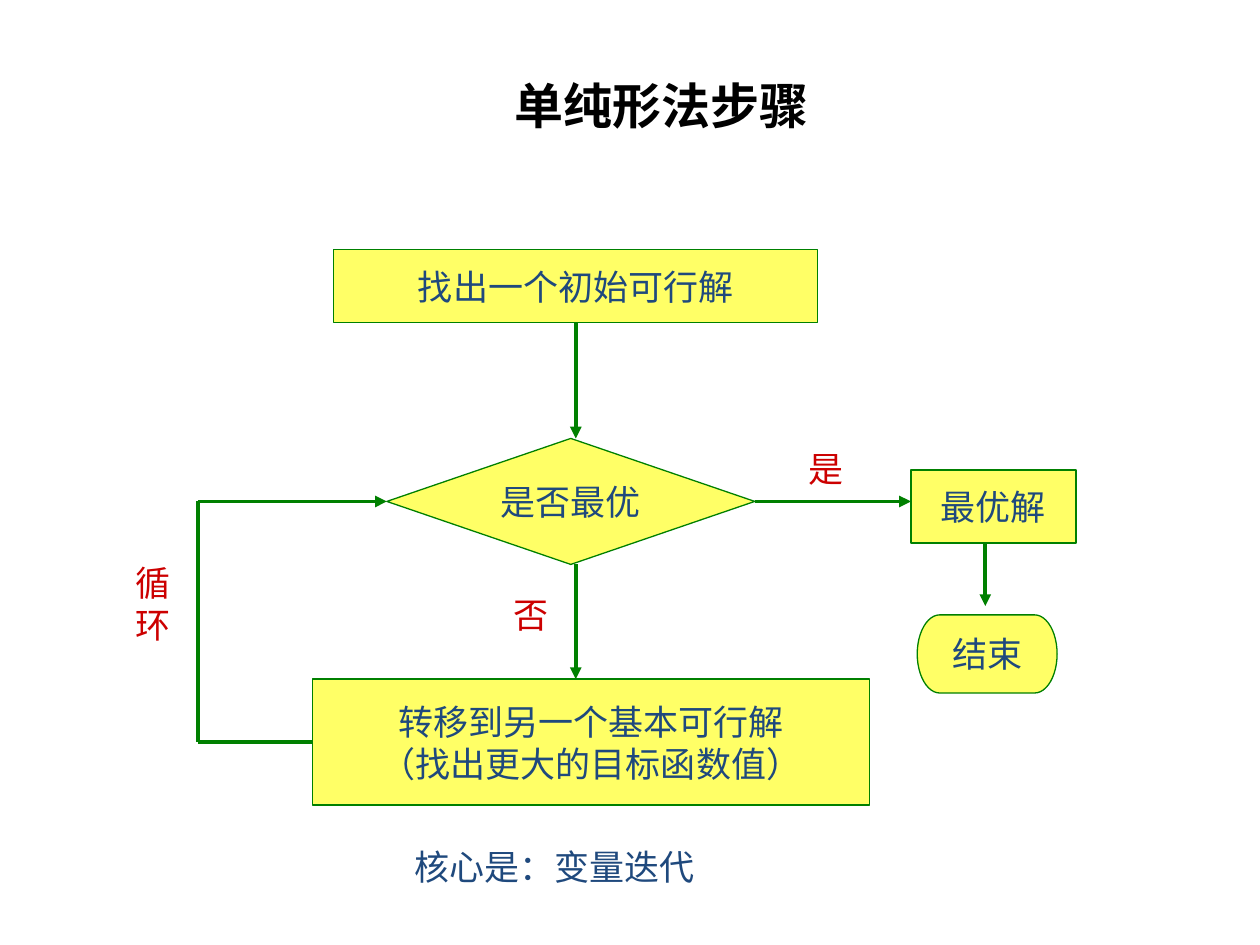
from dataclasses import dataclass
from typing import Optional

from pptx import Presentation
from pptx.dml.color import RGBColor
from pptx.enum.shapes import MSO_CONNECTOR, MSO_SHAPE as Preset
from pptx.enum.text import MSO_ANCHOR as Anchor, PP_ALIGN as Align
from pptx.oxml.ns import qn
from pptx.util import Inches, Pt
from lxml.etree import SubElement

FONT = "Noto Sans CJK SC"
BLACK = RGBColor(0x00, 0x00, 0x00)
BLUE = RGBColor(0x1F, 0x49, 0x7D)
RED = RGBColor(0xCC, 0x00, 0x00)
YELLOW = RGBColor(0xFF, 0xFF, 0x66)
GREEN = RGBColor(0x00, 0x80, 0x00)

LEFT, BOTTOM, RIGHT = 1, 2, 3
LOOP_X, FLOW_X, END_X = 1.57, 4.57, 7.82
TEST_Y, MOVE_Y = 3.98, 5.89


@dataclass(frozen=True)
class Step:
    key: str
    text: str
    box: tuple[float, float, float, float]
    preset: Preset = Preset.RECTANGLE


@dataclass(frozen=True)
class Label:
    text: str
    box: tuple[float, float, float, float]
    color: RGBColor = RED
    size: int = 20
    bold: bool = False
    align: Align = Align.LEFT
    anchor: Anchor = Anchor.TOP
    wrap: bool = False


@dataclass(frozen=True)
class Link:
    start: tuple[float, float]
    end: tuple[float, float]
    arrow: bool = True
    source: Optional[tuple[str, int]] = None
    target: Optional[tuple[str, int]] = None


STEPS = [
    Step("initial", "找出一个初始可行解", (2.65, 1.98, 3.84, 0.58)),
    Step("test", "是否最优", (3.07, 3.48, 2.92, 1), Preset.DIAMOND),
    Step("move", "转移到另一个基本可行解\n（找出更大的目标函数值）", (2.48, 5.39, 4.42, 1)),
    Step("optimum", "最优解", (7.23, 3.73, 1.31, 0.58)),
    Step("finish", "结束", (7.28, 4.88, 1.11, 0.62), Preset.FLOWCHART_TERMINATOR),
]

LABELS = [
    Label("单纯形法步骤", (0.5, 0.37, 9.5, 0.92), BLACK, 28, True,
          Align.CENTER, Anchor.MIDDLE, True),
    Label("是", (6.32, 3.5, 0.48, 0.44)),
    Label("否", (3.98, 4.66, 0.48, 0.44)),
    Label("循\n环", (0.98, 4.41, 0.48, 0.77)),
    Label("核心是：变量迭代", (3.19, 6.66, 2.45, 0.44), BLUE),
]

LINKS = [
    Link((FLOW_X, 2.56), (FLOW_X, 3.48), source=("initial", BOTTOM)),
    Link((FLOW_X, 4.48), (FLOW_X, 5.39)),
    Link((5.99, TEST_Y), (7.23, TEST_Y), source=("test", RIGHT)),
    Link((LOOP_X, TEST_Y), (3.07, TEST_Y), target=("test", LEFT)),
    Link((LOOP_X, TEST_Y), (LOOP_X, MOVE_Y), arrow=False),
    Link((LOOP_X, MOVE_Y), (2.48, MOVE_Y), arrow=False, target=("move", LEFT)),
    Link((END_X, 4.31), (END_X, 4.81)),
]


def write_text(shape, text: str, color: RGBColor, size: int = 20, bold: bool = False,
               align: Align = Align.CENTER, anchor: Anchor = Anchor.MIDDLE,
               wrap: bool = False) -> None:
    frame = shape.text_frame
    frame.text = text
    frame.word_wrap = wrap
    frame.vertical_anchor = anchor
    for paragraph in frame.paragraphs:
        paragraph.alignment = align
        font = paragraph.font
        font.size = Pt(size)
        font.bold = bold
        font.color.rgb = color
        font.name = FONT
        properties = paragraph._p.pPr.find(qn("a:defRPr"))
        SubElement(properties, qn("a:ea")).set("typeface", FONT)


def draw_step(slide, step: Step):
    shape = slide.shapes.add_shape(step.preset, *map(Inches, step.box))
    shape.shadow.inherit = False
    shape.fill.solid()
    shape.fill.fore_color.rgb = YELLOW
    shape.line.color.rgb = GREEN
    shape.line.width = Pt(0.75)
    write_text(shape, step.text, BLUE)
    return shape


def draw_label(slide, label: Label) -> None:
    shape = slide.shapes.add_textbox(*map(Inches, label.box))
    write_text(shape, label.text, label.color, label.size, label.bold,
               label.align, label.anchor, label.wrap)


def draw_link(slide, link: Link, shapes: dict) -> None:
    connector = slide.shapes.add_connector(
        MSO_CONNECTOR.STRAIGHT, *map(Inches, link.start + link.end))
    if link.source:
        key, side = link.source
        connector.begin_connect(shapes[key], side)
    if link.target:
        key, side = link.target
        connector.end_connect(shapes[key], side)
    connector.line.color.rgb = GREEN
    connector.line.width = Pt(2.25)
    if link.arrow:
        SubElement(connector.line._get_or_add_ln(), qn("a:tailEnd")).set("type", "triangle")
    SubElement(connector._element.spPr, qn("a:effectLst"))


def main() -> None:
    presentation = Presentation()
    presentation.slide_width = Inches(10)
    presentation.slide_height = Inches(7.5)
    slide = presentation.slides.add_slide(presentation.slide_layouts[6])
    shapes = {step.key: draw_step(slide, step) for step in STEPS}
    for link in LINKS:
        draw_link(slide, link, shapes)
    for label in LABELS:
        draw_label(slide, label)
    presentation.save("out.pptx")


if __name__ == "__main__":
    main()
